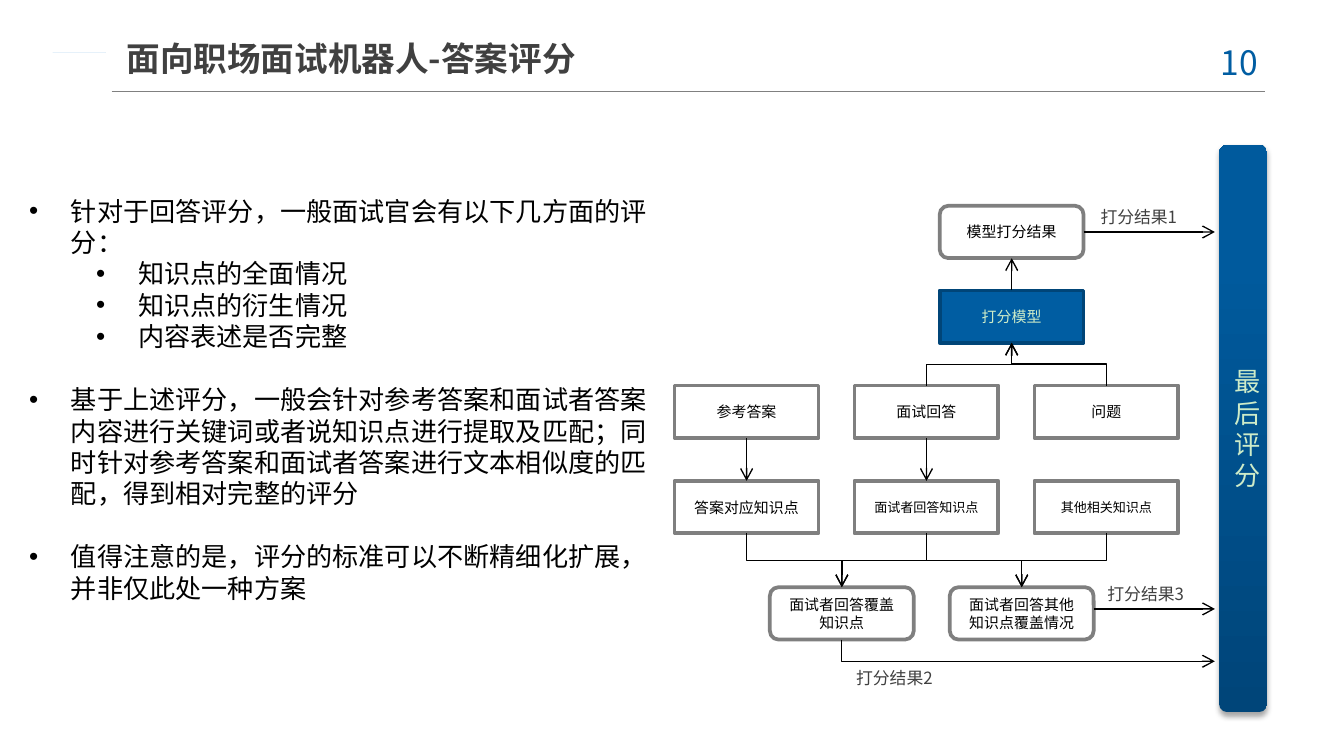
from lxml.etree import SubElement
from pptx import Presentation
from pptx.dml.color import RGBColor
from pptx.enum.shapes import MSO_CONNECTOR as LINK, MSO_SHAPE as SHAPE
from pptx.enum.text import MSO_ANCHOR as ANCHOR, PP_ALIGN as ALIGN
from pptx.oxml.ns import qn
from pptx.util import Cm, Pt

NOTO = "Noto Sans CJK SC"
BLUE, GREY, DARK, BLACK = "005DA2", "7F7F7F", "404040", "000000"
WHITE, PALE = "FFFFFF", "CDEBC8"


def color(value):
    return RGBColor.from_string(value)


def connect(x1, y1, x2, y2, preset="line", line=BLACK, arrow=True):
    if preset == "line":
        link = slide.shapes.add_connector(LINK.STRAIGHT, Cm(x1), Cm(y1), Cm(x2), Cm(y2))
    else:
        down = y2 > y1
        mid_x, mid_y = (x1 + x2) / 2, (y1 + y2) / 2
        half_run = abs(y2 - y1) / 2
        half_rise = (x2 - x1) / 2 if down else (x1 - x2) / 2
        link = slide.shapes.add_connector(
            LINK.ELBOW, Cm(mid_x - half_run), Cm(mid_y + half_rise),
            Cm(mid_x + half_run), Cm(mid_y - half_rise))
        properties = link._element.spPr
        properties.find(qn("a:xfrm")).set("rot", "5400000" if down else "16200000")
        properties.find(qn("a:prstGeom")).set("prst", preset)
    link.line.color.rgb = color(line)
    link.line.width = Pt(0.75)
    if arrow:
        SubElement(link.line._get_or_add_ln(), qn("a:tailEnd"), type="arrow")
    SubElement(link._element.spPr, qn("a:effectLst"))


prs = Presentation()
prs.slide_width, prs.slide_height = Cm(25.4), Cm(14.29)
slide = prs.slides.add_slide(prs.slide_layouts[6])

connect(2.11, 1.73, 23.9, 1.73, line="808080", arrow=False)

chevron = [(0.91, 0.89), (0.99, 0.81), (1.27, 1.09), (0.99, 1.4), (0.89, 1.3), (1.09, 1.09)]
for index, shade in enumerate([BLUE, "3992DB", "F79600"]):
    points = [(x + index * 0.36, y) for x, y in chevron]
    outline = slide.shapes.build_freeform(*points[0], scale=Cm(1))
    outline.add_line_segments(points[1:], close=True)
    mark = outline.convert_to_shape()
    mark.shadow.inherit = False
    mark.fill.solid()
    mark.fill.fore_color.rgb = color(shade)
    mark.line.fill.background()

statements = [
    (0, "针对于回答评分，一般面试官会有以下几方面的评分：", 0),
    (1, "知识点的全面情况", 0),
    (1, "知识点的衍生情况", 0),
    (1, "内容表述是否完整", 0),
    (0, "基于上述评分，一般会针对参考答案和面试者答案内容进行关键词或者说知识点进行提取及匹配；"
        "同时针对参考答案和面试者答案进行文本相似度的匹配，得到相对完整的评分", 17),
    (0, "值得注意的是，评分的标准可以不断精细化扩展，并非仅此处一种方案", 17),
]
body = slide.shapes.add_textbox(Cm(0.3), Cm(3.56), Cm(12.45), Cm(8.03)).text_frame
body.word_wrap = True
body.text = "\n".join(text for _, text, _ in statements)
for paragraph, (level, _, gap) in zip(body.paragraphs, statements):
    paragraph.level = level
    paragraph.space_before = Pt(gap)
    layout = paragraph._p.get_or_add_pPr()
    layout.set("marL", str(Cm(0.79 + 1.27 * level)))
    layout.set("indent", str(Cm(-0.79)))
    SubElement(layout, qn("a:buFont"), typeface="Arial")
    SubElement(layout, qn("a:buChar"), char="•")
    for run in paragraph.runs:
        run.font.name, run.font.size = "Calibri", Pt(14)
        run.font.color.rgb = color(BLACK)

width, height = 2.72, 0.99
left, middle, right = [12.75 + 3.4 * column for column in range(3)]
cover, other, model = 14.55, 17.95, 17.76
result_y, model_y, input_y, points_y, match_y = 3.89, 5.49, 7.29, 9.09, 11.1

steps = [
    ("参考答案", left, input_y, 8, SHAPE.RECTANGLE),
    ("面试回答", middle, input_y, 8, SHAPE.RECTANGLE),
    ("问题", right, input_y, 8, SHAPE.RECTANGLE),
    ("答案对应知识点", left, points_y, 8, SHAPE.RECTANGLE),
    ("面试者回答知识点", middle, points_y, 7, SHAPE.RECTANGLE),
    ("其他相关知识点", right, points_y, 7, SHAPE.RECTANGLE),
    ("面试者回答覆盖知识点", cover, match_y, 8, SHAPE.ROUNDED_RECTANGLE),
    ("面试者回答其他知识点覆盖情况", other, match_y, 8, SHAPE.ROUNDED_RECTANGLE),
    ("打分模型", model, model_y, 8, SHAPE.RECTANGLE),
    ("模型打分结果", model, result_y, 8, SHAPE.ROUNDED_RECTANGLE),
    ("最后评分", 23.04, 2.74, 14, SHAPE.ROUNDED_RECTANGLE),
]
for text, x, y, size, kind in steps:
    final, scoring = text == "最后评分", text == "打分模型"
    step = slide.shapes.add_shape(
        kind, Cm(x), Cm(y), Cm(0.91 if final else width), Cm(10.72 if final else height))
    step.shadow.inherit = False
    if final:
        step.fill.gradient()
        step.fill.gradient_angle = 90
        for stop, place, shade in zip(step.fill.gradient_stops, (0, 0.8), ("004579", "005A9D")):
            stop.position = place
            stop.color.rgb = color(shade)
        step.line.fill.background()
        glow = SubElement(
            step._element.spPr.find(qn("a:effectLst")), qn("a:outerShdw"),
            blurRad=str(Pt(3.1)), dist=str(Pt(1.8)), dir="5400000", rotWithShape="0")
        black = SubElement(glow, qn("a:srgbClr"), val=BLACK)
        SubElement(black, qn("a:alpha"), val="35000")
    else:
        step.fill.solid()
        step.fill.fore_color.rgb = color(BLUE if scoring else WHITE)
        step.line.color.rgb = color("004578" if scoring else GREY)
        step.line.width = Pt(2)
    frame = step.text_frame
    frame.word_wrap = True
    frame.vertical_anchor = ANCHOR.MIDDLE
    frame.text = text
    frame.paragraphs[0].alignment = ALIGN.CENTER
    font = frame.paragraphs[0].runs[0].font
    font.name, font.size = "Calibri", Pt(size)
    font.color.rgb = color(PALE if final or scoring else BLACK)

half = width / 2
for x in (left, middle):
    connect(x + half, input_y + height, x + half, points_y)
for source, target in [(left, cover), (middle, cover), (middle, other), (right, other)]:
    connect(source + half, points_y + height, target + half, match_y, "bentConnector3")
for source in (middle, right):
    connect(source + half, input_y, model + half, model_y + height, "bentConnector3")
connect(model + half, model_y, model + half, result_y + height)

score_x = 22.96
connect(model + width, result_y + height / 2, score_x, result_y + height / 2)
connect(other + width, match_y + 0.41, score_x, match_y + 0.41)
connect(cover + half, match_y + height, score_x, 12.5, "bentConnector2")

labels = [
    ("10", 22.5, 0.66, 1.85, 1.02, 18, BLUE),
    ("面向职场面试机器人-答案评分", 2.39, 0.56, 14.96, 1.07, 18, DARK),
    ("打分结果1", 20.55, 3.78, 1.96, 0.64, 9, DARK),
    ("打分结果2", 15.93, 12.5, 1.96, 0.64, 9, DARK),
    ("打分结果3", 20.68, 10.9, 1.96, 0.64, 9, DARK),
]
for text, x, y, label_width, label_height, size, shade in labels:
    frame = slide.shapes.add_textbox(Cm(x), Cm(y), Cm(label_width), Cm(label_height)).text_frame
    frame.word_wrap = True
    frame.text = text
    font = frame.paragraphs[0].runs[0].font
    font.name, font.size = NOTO, Pt(size)
    font.color.rgb = color(shade)
    if text == "10":
        frame.paragraphs[0].alignment = ALIGN.CENTER
    elif size == 18:
        font.bold = True
        frame.vertical_anchor = ANCHOR.MIDDLE
        frame.margin_left = frame.margin_right = 0

prs.save("out.pptx")
